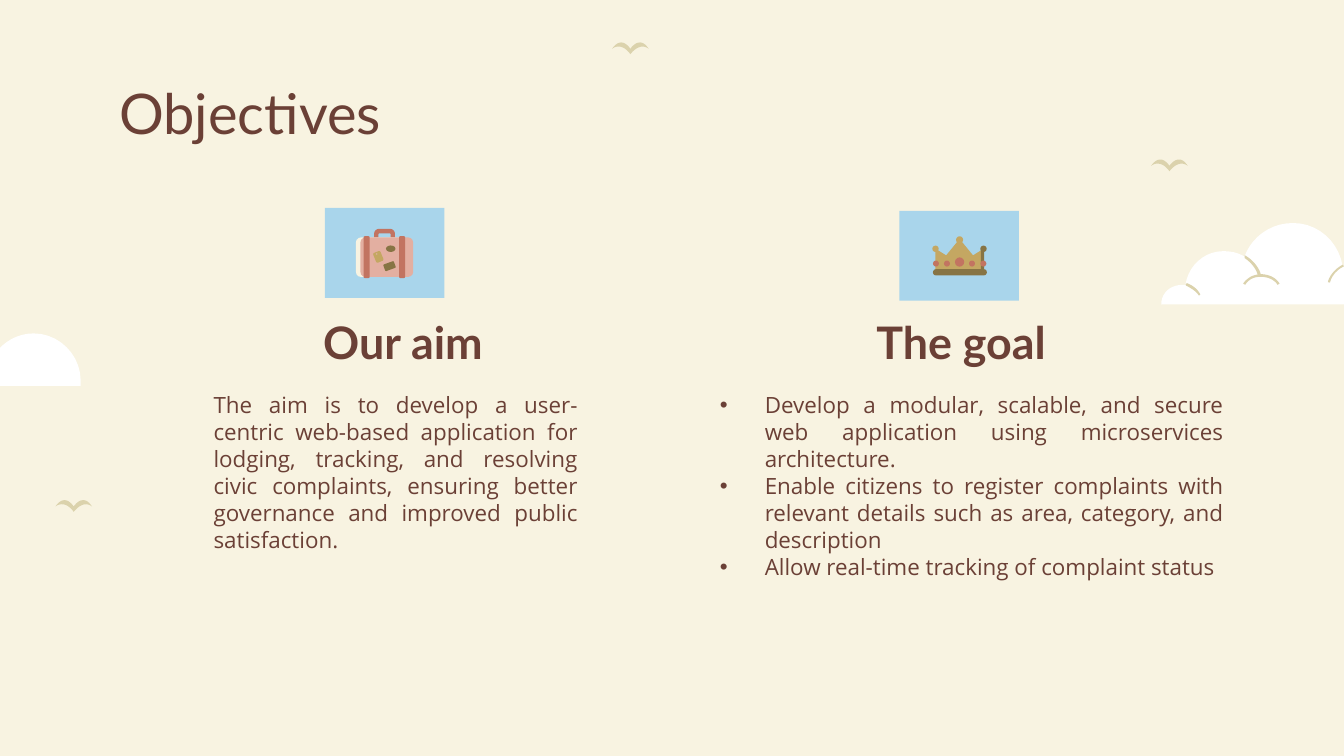
from lxml.etree import SubElement
from pptx import Presentation
from pptx.dml.color import RGBColor
from pptx.enum.shapes import MSO_SHAPE
from pptx.enum.text import MSO_ANCHOR, MSO_AUTO_SIZE, PP_ALIGN
from pptx.oxml.ns import qn
from pptx.util import Pt

HUES = {
    "sand": "F8F3E1", "brown": "6B4036", "sky": "A9D5EB", "white": "FFFFFF",
    "straw": "DBD2AC", "rust": "C27461", "pink": "E3AFA1", "olive": "877444",
    "gold": "C4A762",
}
HEAD = {
    "font": {"name": "Lato", "size": Pt(24), "bold": True},
    "para": {"alignment": PP_ALIGN.CENTER, "space_before": Pt(0)},
    "frame": {"vertical_anchor": MSO_ANCHOR.BOTTOM},
}
TITLE = {
    "font": {"name": "Lato", "size": Pt(30), "bold": False},
    "para": {"alignment": PP_ALIGN.LEFT, "space_before": Pt(0)},
    "frame": {"vertical_anchor": MSO_ANCHOR.TOP},
}
BODY = {
    "font": {"name": "Open Sans", "size": Pt(12), "bold": False},
    "para": {"alignment": PP_ALIGN.JUSTIFY, "space_before": Pt(0),
             "line_spacing": Pt(14.46)},
    "frame": {"vertical_anchor": MSO_ANCHOR.TOP},
}
FRAME = {
    "word_wrap": True, "auto_size": MSO_AUTO_SIZE.NONE,
    "margin_left": Pt(7.2), "margin_right": Pt(7.2),
    "margin_top": Pt(7.2), "margin_bottom": Pt(7.2),
}

BIRD = [
    (5, 0), (3.6, 0, 1.8, 0.7, 0, 3.4), (1.2, 2.4, 2.4, 2.2, 3.6, 2.2),
    (7.2, 2.2, 9.8, 6.3, 9.8, 6.3), (9.8, 6.3, 12.7, 2.2, 16.3, 2.2),
    (17, 2.2, 18.4, 2.4, 19.6, 3.4), (17.8, 0.7, 16.4, 0, 14.8, 0),
    (12, 0, 9.8, 3.4, 9.8, 3.4), (9.8, 3.4, 7.6, 0, 5, 0),
]
CLOUD = [
    (70.6, 0), (58.3, 0, 48.2, 7.9, 44.6, 18), (41, 15.8, 37.4, 15.1, 33.1, 15.1),
    (23, 15.1, 14.4, 23, 13, 33.1), (11.5, 33.1), (5, 33.1, 0, 37.4, 0, 43.6),
    (138.2, 43.6), (138.2, 37.4, 133.2, 32.4, 126.7, 32.4), (123.8, 33.1),
    (121.7, 25.9, 115.2, 20.2, 106.6, 20.2), (103.7, 20.2, 100.1, 20.9, 97.2, 23),
    (95, 10.1, 84.2, 0, 70.6, 0),
]
FOLDS = [
    [(44.6, 17.3), (44.6, 18.7), (44.6, 18.7, 50.4, 22.3, 51.8, 28.1),
     (53.3, 27.4), (51.8, 21.6, 45.4, 17.3, 44.6, 17.3)],
    [(13.7, 32.2), (13, 33.1), (13, 33.8, 18, 35.3, 20.2, 38.9),
     (20.9, 38.2), (18.7, 33.8, 13.7, 32.2, 13.7, 32.2)],
    [(97.2, 22.3), (90.7, 25.9, 89.3, 31, 89.3, 31.7), (90.4, 31.9),
     (90.4, 31.9, 91.4, 26.3, 97.9, 23.2)],
    [(53.3, 27.4), (49, 27.6, 46, 29.5, 43.9, 32.4), (45, 33.1),
     (46.8, 30.2, 49.7, 28.8, 53.3, 28.8), (56.9, 28.8, 60.5, 30.2, 62.4, 33.1),
     (63.4, 32.4), (61.2, 28.8, 57, 27.4, 53.3, 27.4)],
]
PUFF = [
    (53.3, 0), (42.5, 0, 33.1, 7.2, 29.5, 16.6), (26.6, 14.4, 22.3, 13, 18, 13),
    (8.6, 13, 0.7, 19.4, 0, 28.1), (78.5, 28.1), (78.5, 25.2),
    (78.5, 11.5, 67, 0, 53.3, 0),
]
GRIP = [
    (0, 7.5), (0, 2.9), (0, 1.2, 1.2, 0, 2.9, 0), (8.3, 0),
    (10, 0, 11.2, 1.2, 11.2, 2.9), (11.2, 7.5), (8.9, 7.5), (8.9, 2.9),
    (8.6, 2.4), (2.6, 2.4), (2.3, 2.9), (2.3, 7.5),
]
PEAKS = [(19.2, 20.2), (25, 23.8), (32.2, 15), (39.4, 23.8), (45.1, 20.2),
         (45.1, 32.5), (19.2, 32.5)]


def tint(shape, hue):
    shape.fill.solid()
    shape.fill.fore_color.rgb = RGBColor.from_string(HUES[hue])
    shape.line.fill.background()
    shape.shadow.inherit = False


def trace(steps, count=10):
    dots = [steps[0]]
    for step in steps[1:]:
        if len(step) == 2:
            dots.append(step)
            continue
        knots = [dots[-1], step[:2], step[2:4], step[4:]]
        for i in range(1, count + 1):
            t = i / count
            mix = ((1 - t) ** 3, 3 * t * (1 - t) ** 2, 3 * t * t * (1 - t), t ** 3)
            dots.append(tuple(sum(m * k[axis] for m, k in zip(mix, knots))
                              for axis in (0, 1)))
    return dots


def outline(slide, x, y, steps, hue):
    dots = [(Pt(x + a), Pt(y + b)) for a, b in trace(steps)]
    pen = slide.shapes.build_freeform(*dots[0])
    pen.add_line_segments(dots[1:], close=True)
    tint(pen.convert_to_shape(), hue)


def block(slide, kind, x, y, wide, high, hue, turn=0, curve=None):
    shape = slide.shapes.add_shape(kind, Pt(x), Pt(y), Pt(wide), Pt(high))
    shape.rotation = turn
    if curve is not None:
        shape.adjustments[0] = curve
    tint(shape, hue)


def dot(slide, x, y, size, hue):
    block(slide, MSO_SHAPE.OVAL, x - size / 2, y - size / 2, size, size, hue)


def write(holder, box, lines, style, bullet=False):
    holder.left, holder.top, holder.width, holder.height = map(Pt, box)
    frame = holder.text_frame
    frame.text = "\n".join(lines)
    for key, value in {**FRAME, **style["frame"]}.items():
        setattr(frame, key, value)
    for para in frame.paragraphs:
        props = para._p.get_or_add_pPr()
        props.set("marL", str(Pt(36) if bullet else 0))
        props.set("indent", str(Pt(-24) if bullet else 0))
        if bullet:
            color = SubElement(props, qn("a:buClr"))
            SubElement(color, qn("a:srgbClr")).set("val", HUES["brown"])
            SubElement(props, qn("a:buChar")).set("char", "•")
        else:
            SubElement(props, qn("a:buNone"))
        for key, value in style["para"].items():
            setattr(para, key, value)
        for run in para.runs:
            for key, value in style["font"].items():
                setattr(run.font, key, value)
            run.font.color.rgb = RGBColor.from_string(HUES["brown"])


def scene(slide):
    for x, y in ((327.9, 22.8), (29.7, 268), (616.7, 85.5)):
        outline(slide, x, y, BIRD, "straw")
    outline(slide, -35.3, 178.6, PUFF, "white")
    outline(slide, 622.1, 119.5, CLOUD, "white")
    for fold in FOLDS:
        outline(slide, 622.1, 119.5, fold, "straw")


def tile(slide, x, y):
    block(slide, MSO_SHAPE.RECTANGLE, x, y, 64, 48.2, "sky")


def luggage(slide, x, y):
    tile(slide, x, y)
    outline(slide, x + 26.3, y + 11.2, GRIP, "rust")
    for left, top, wide, high, hue, turn, curve in (
        (16.6, 15.8, 28, 21.2, "sand", 0, 0.13),
        (19, 15.8, 28.3, 21.2, "pink", 0, 0.13),
        (20.7, 15.1, 3.3, 22.5, "rust", 0, 0.25),
        (39.7, 15.1, 3.3, 22.5, "rust", 0, 0.25),
        (31.6, 29.3, 6, 3.8, "olive", -20, 0.15),
        (26.5, 23.4, 4.2, 5.6, "gold", -22, 0.2),
    ):
        block(slide, MSO_SHAPE.ROUNDED_RECTANGLE, x + left, y + top, wide, high,
              hue, turn, curve)
    block(slide, MSO_SHAPE.OVAL, x + 32.7, y + 20.1, 5.1, 3.5, "olive")
    dot(slide, x + 27.7, y + 24.7, 0.8, "pink")


def crown(slide, x, y):
    tile(slide, x, y)
    outline(slide, x, y, PEAKS, "gold")
    block(slide, MSO_SHAPE.RECTANGLE, x + 43.5, y + 20.3, 1.9, 12.2, "olive")
    block(slide, MSO_SHAPE.ROUNDED_RECTANGLE, x + 17.9, y + 31.2, 28.9, 3.4,
          "olive", curve=0.5)
    for across, down, size, hue in (
        (19.3, 20.3, 3.4, "gold"), (32.2, 15.5, 3.8, "gold"),
        (45, 20.3, 3.4, "olive"), (32.2, 27.4, 5, "rust"),
    ):
        dot(slide, x + across, y + down, size, hue)
    for across in (19.5, 25.4, 38.8, 44.9):
        dot(slide, x + across, y + 28.2, 3.2, "rust")


def main():
    deck = Presentation()
    deck.slide_width, deck.slide_height = Pt(720), Pt(405)
    slide = deck.slides.add_slide(deck.slide_layouts[4])
    slide.background.fill.solid()
    slide.background.fill.fore_color.rgb = RGBColor.from_string(HUES["sand"])
    title, aim, reason, goal, points = slide.placeholders
    write(title, (56.7, 35.1, 606.6, 45), ["Objectives"], TITLE)
    write(aim, (107.2, 172, 217.4, 32.4), ["Our aim"], HEAD)
    write(reason, (107.2, 202.3, 209.7, 115), [
        "The aim is to develop a user-centric web-based application for lodging, "
        "tracking, and resolving civic complaints, ensuring better governance and "
        "improved public satisfaction."], BODY)
    write(goal, (416.2, 172, 197.3, 32.4), ["The goal"], HEAD)
    write(points, (366.5, 202.3, 296.4, 115), [
        "Develop a modular, scalable, and secure web application using "
        "microservices architecture.",
        "Enable citizens to register complaints with relevant details such as "
        "area, category, and description",
        "Allow real-time tracking of complaint status"], BODY, bullet=True)
    scene(slide)
    luggage(slide, 174.1, 111.4)
    crown(slide, 481.9, 113)
    deck.save("out.pptx")


if __name__ == "__main__":
    main()
